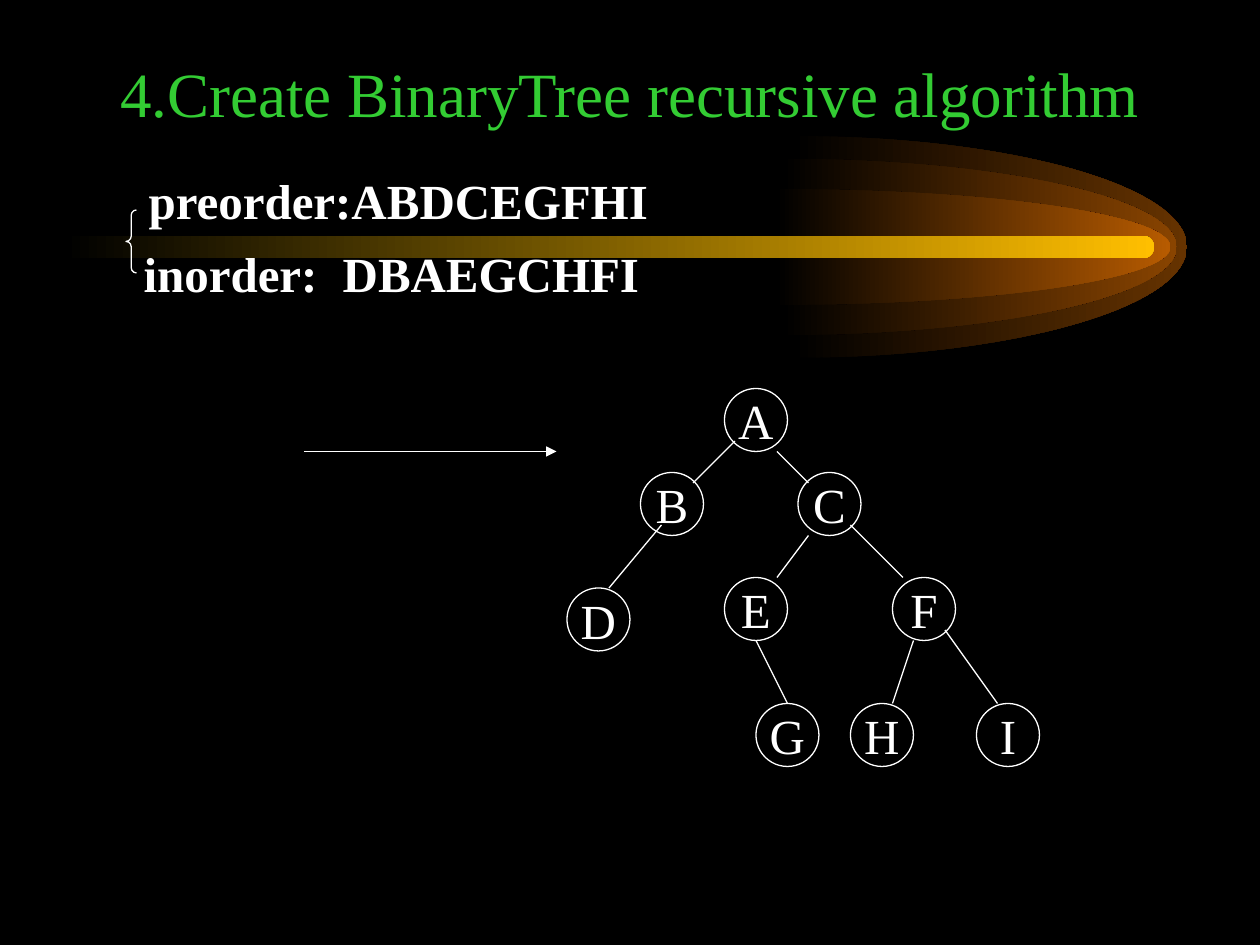
"""Build a slide that rebuilds a binary tree from two traversals."""
from lxml import etree
from pptx import Presentation, util as u
from pptx.dml.color import RGBColor
from pptx.enum import shapes as s, text as t
from pptx.oxml import ns

THEME = dict(font="Times New Roman", back="000000", ink="FFFFFF",
             title="33CC33", bar="FFBF00", head=36, body=28, line=0.75)
TITLE = "4.Create BinaryTree recursive algorithm"
ORDERS = ["preorder:ABDCEGFHI", "inorder:\tDBAEGCHFI"]
WIDE, HIGH, CELL = 10, 7.5, 1 / 12
SIZE = 6
NODES = dict(A=(69, 37), B=(61, 45), C=(76, 45), D=(54, 56), E=(69, 55),
             F=(85, 55), I=(93, 67), H=(81, 67), G=(72, 67))
EDGES = [(70, 42, 66, 46), (63, 50, 58, 56), (74, 43, 77, 46),
         (77, 51, 74, 55), (81, 50, 86, 55), (72, 61, 75, 67),
         (87, 61, 85, 67), (90, 60, 95, 67)]
ARROW = (29, 43, 53, 43)
BRACE = (12, 20, 1, 6)
GLOW = [(6.29, 0.88, "663300"), (6.21, 0.7, "894400"),
        (6.16, 0.46, "B75B00")]
MID, REACH, BEND = 1.96, 3.13, 0.55
ARC = [(0, -1), (BEND, -1), (1, -BEND), (1, 0),
       (1, BEND), (BEND, 1), (0, 1)]

deck = Presentation()
deck.slide_width, deck.slide_height = u.Inches(WIDE), u.Inches(HIGH)
slide = deck.slides.add_slide(deck.slide_layouts[6])
slide.background.fill.solid()
slide.background.fill.fore_color.rgb = RGBColor.from_string(THEME["back"])


def inch(*vals):
    return [u.Inches(v) for v in vals]


def grid(*vals):
    return inch(*(v * CELL for v in vals))


def child(node, tag, **attrs):
    return etree.SubElement(node, ns.qn(tag), attrs)


def write(shape, lines, size=THEME["body"], color=THEME["ink"], bold=False,
          align="LEFT", anchor="TOP", wrap=True, inset=(0.1, 0.05), gap=0):
    frame = shape.text_frame
    frame.word_wrap = wrap
    frame.vertical_anchor = t.MSO_ANCHOR[anchor]
    frame.margin_left, frame.margin_top = inch(*inset)
    for num, line in enumerate(lines):
        para = frame.add_paragraph() if num else frame.paragraphs[0]
        para.alignment = t.PP_ALIGN[align]
        if num:
            para.space_before = u.Pt(gap)
        if "\t" in line:
            tabs = child(para._p.get_or_add_pPr(), "a:tabLst")
            child(tabs, "a:tab", pos=str(u.Inches(1.58)), algn="l")
        run = para.add_run()
        run.text = line
        font = run.font
        font.name, font.size, font.bold = THEME["font"], u.Pt(size), bold
        font.color.rgb = RGBColor.from_string(color)


def fade(shape, color):
    shape.shadow.inherit = False
    shape.line.fill.background()
    shape.fill.gradient()
    shape.fill.gradient_angle = 0
    for stop, tone in zip(shape.fill.gradient_stops, (THEME["back"], color)):
        stop.color.rgb = RGBColor.from_string(tone)


def stroke(shape):
    shape.line.color.rgb = RGBColor.from_string(THEME["ink"])
    shape.line.width = u.Pt(THEME["line"])


def outline(kind, *box):
    shape = slide.shapes.add_shape(kind, *grid(*box))
    shape.shadow.inherit = False
    shape.fill.background()
    stroke(shape)
    return shape


def link(*ends):
    line = slide.shapes.add_connector(s.MSO_CONNECTOR.STRAIGHT, *grid(*ends))
    stroke(line)
    child(line._element.spPr, "a:effectLst")
    return line


def glow(left, rise, color):
    dots = [inch(left + REACH * x, MID + rise * y) for x, y in ARC]
    pen = slide.shapes.build_freeform(*dots[0])
    pen.add_line_segments(dots[1:], close=True)
    shape = pen.convert_to_shape()
    legs = list(shape._element.iter(ns.qn("a:lnTo")))
    for first in (0, 3):
        curve = etree.Element(ns.qn("a:cubicBezTo"))
        legs[first].addprevious(curve)
        for leg in legs[first:first + 3]:
            curve.append(leg[0])
            leg.getparent().remove(leg)
    fade(shape, color)


for ring in GLOW:
    glow(*ring)
bar = slide.shapes.add_shape(s.MSO_SHAPE.ROUNDED_RECTANGLE,
                             *inch(0.5, MID - 0.09, 8.66, 0.18))
bar.adjustments[0] = 0.5
fade(bar, THEME["bar"])

title = slide.shapes.add_textbox(*grid(9, 5, 102, 8))
write(title, [TITLE], size=THEME["head"], color=THEME["title"],
      align="CENTER", anchor="BOTTOM")
body = slide.shapes.add_textbox(*grid(9, 15, 102, 66))
write(body, ORDERS, bold=True, inset=(0.39, 0.1), gap=8.4)
body.text_frame.paragraphs[0]._p.get_or_add_pPr().set(
    "indent", str(u.Inches(0.04)))

for name, (col, row) in NODES.items():
    node = outline(s.MSO_SHAPE.OVAL, col, row, SIZE, SIZE)
    write(node, [name], align="CENTER", anchor="MIDDLE", wrap=False)
for edge in EDGES:
    link(*edge)
arrow = link(*ARROW)
child(arrow.line._get_or_add_ln(), "a:tailEnd", type="triangle")
brace = outline(s.MSO_SHAPE.LEFT_BRACE, *BRACE)
brace.adjustments[0] = 0.5

deck.save("out.pptx")
